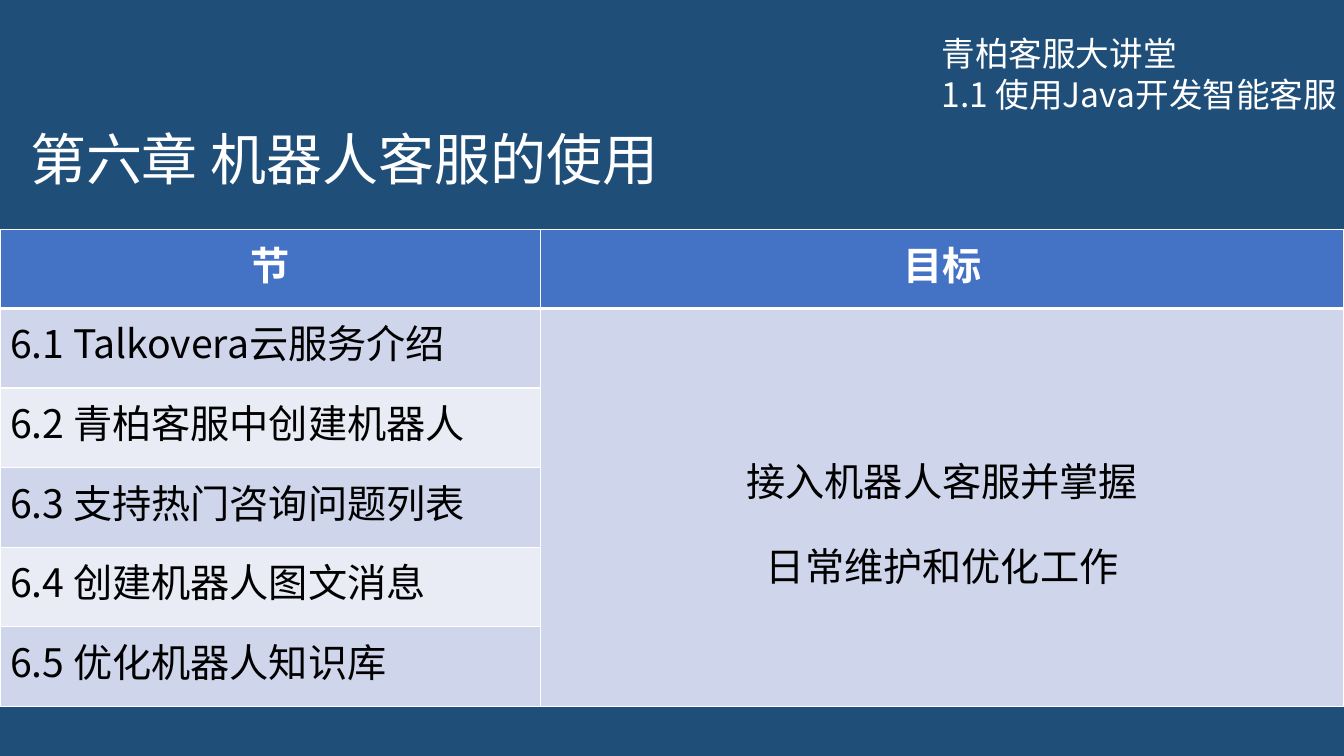
from lxml import etree
from pptx import Presentation
from pptx.dml.color import RGBColor
from pptx.enum.text import MSO_ANCHOR, MSO_AUTO_SIZE, PP_ALIGN
from pptx.oxml.ns import qn
from pptx.util import Inches, Pt

CENTER, LEFT = PP_ALIGN.CENTER, PP_ALIGN.LEFT
MIDDLE, TOP = MSO_ANCHOR.MIDDLE, MSO_ANCHOR.TOP
GROW = MSO_AUTO_SIZE.SHAPE_TO_FIT_TEXT

NAVY = RGBColor(0x1F, 0x4E, 0x79)
BLUE = RGBColor(0x44, 0x72, 0xC4)
BAND_DARK = RGBColor(0xCF, 0xD5, 0xEA)
BAND_LIGHT = RGBColor(0xE9, 0xEB, 0xF5)
WHITE = RGBColor(0xFF, 0xFF, 0xFF)
BLACK = RGBColor(0, 0, 0)
FONT = "Noto Sans CJK SC"

COURSE = ["青柏客服大讲堂", "1.1 使用Java开发智能客服"]
CHAPTER = "第六章 机器人客服的使用"
HEADINGS = ["节", "目标"]
SECTIONS = [
    "6.1 Talkovera云服务介绍",
    "6.2 青柏客服中创建机器人",
    "6.3 支持热门咨询问题列表",
    "6.4 创建机器人图文消息",
    "6.5 优化机器人知识库",
]
GOALS = ["接入机器人客服并掌握", "日常维护和优化工作"]


def style_paragraph(paragraph, size, color, bold=False):
    """Set the Latin and East Asian font, size and colour of a paragraph."""
    font = paragraph.font
    font.name, font.size, font.bold = FONT, Pt(size), bold
    font.color.rgb = color
    defaults = paragraph._p.get_or_add_pPr().find(qn("a:defRPr"))
    etree.SubElement(defaults, qn("a:ea"), typeface=FONT)


def add_line(slide, text, left, top, width, height, size):
    """Add one white unwrapped line of text."""
    frame = slide.shapes.add_textbox(
        Inches(left), Inches(top), Inches(width), Inches(height)).text_frame
    frame.word_wrap = False
    frame.auto_size = GROW
    frame.text = text
    style_paragraph(frame.paragraphs[0], size, WHITE)


def add_header(slide, left, top):
    """Place the chapter title and the course lines from the header's corner."""
    course, lesson = COURSE
    add_line(slide, lesson, left + 9.24, top + 0.68, 4.28, 0.5, 24)
    add_line(slide, course, left + 9.24, top + 0.28, 2.56, 0.5, 24)
    add_line(slide, CHAPTER, left + 0.2, top + 1.19, 6.54, 0.77, 40)


def set_borders(cell, top=1, bottom=1):
    """Draw white borders of the given point widths around a cell."""
    properties = cell._tc.get_or_add_tcPr()
    for side, width in (("L", 1), ("R", 1), ("T", top), ("B", bottom)):
        line = etree.SubElement(properties, qn(f"a:ln{side}"), w=str(Pt(width)))
        fill = etree.SubElement(line, qn("a:solidFill"))
        etree.SubElement(fill, qn("a:srgbClr"), val=str(WHITE))


def fill_cell(cell, lines, fill, color=BLACK, bold=False, align=LEFT,
              anchor=TOP, spacing=None):
    """Fill a cell and write its lines as paragraphs."""
    cell.fill.solid()
    cell.fill.fore_color.rgb = fill
    cell.vertical_anchor = anchor
    cell.text_frame.text = "\n".join(lines)
    for paragraph in cell.text_frame.paragraphs:
        paragraph.alignment = align
        paragraph.line_spacing = spacing
        style_paragraph(paragraph, 28, color, bold)


def add_syllabus(slide, left, top, width):
    """Add the table of sections with their shared goal."""
    row_count = len(SECTIONS) + 1
    table = slide.shapes.add_table(
        row_count, 2, Inches(left), Inches(top), Inches(width), Inches(4.75)).table
    table.first_row = table.horz_banding = False
    table.columns[0].width = Inches(5.36)
    table.columns[1].width = Inches(width - 5.36)
    for index, row in enumerate(table.rows):
        row.height = Inches(0.79 if index else 0.78)
        for cell in row.cells:
            set_borders(cell, top=3 if index == 1 else 1, bottom=1 if index else 3)

    for column, heading in enumerate(HEADINGS):
        fill_cell(table.cell(0, column), [heading], BLUE, WHITE, True, CENTER)
    for index, section in enumerate(SECTIONS):
        band = BAND_LIGHT if index % 2 else BAND_DARK
        fill_cell(table.cell(index + 1, 0), [section], band)
    goal = table.cell(1, 1)
    goal.merge(table.cell(row_count - 1, 1))
    fill_cell(goal, GOALS, BAND_DARK, align=CENTER, anchor=MIDDLE, spacing=1.5)


def main():
    """Build the chapter slide and save it."""
    deck = Presentation()
    deck.slide_width, deck.slide_height = Inches(13.33), Inches(7.5)
    slide = deck.slides.add_slide(deck.slide_layouts[6])
    slide.background.fill.solid()
    slide.background.fill.fore_color.rgb = NAVY
    add_header(slide, 0, 0)
    add_syllabus(slide, 0, 2.28, 13.33)
    deck.save("out.pptx")


if __name__ == "__main__":
    main()
